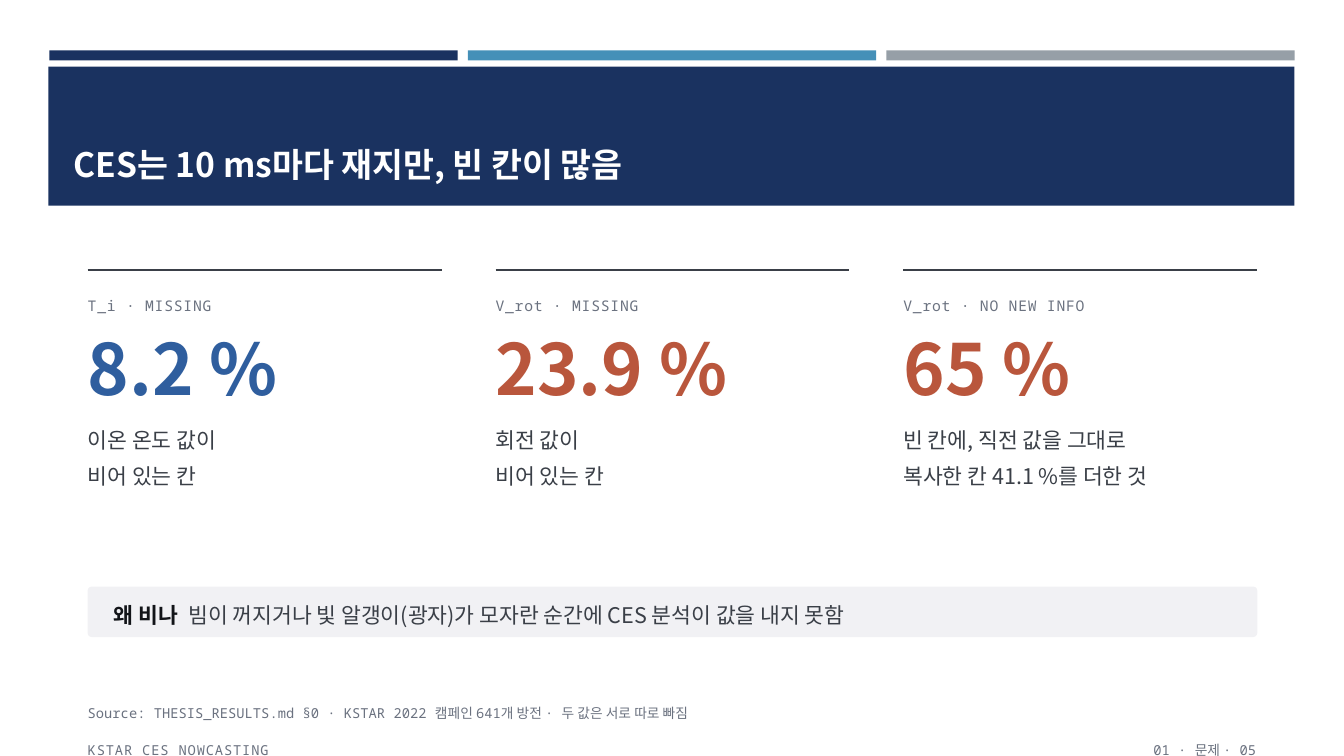
from lxml import etree
from pptx import Presentation
from pptx.dml.color import RGBColor
from pptx.enum.shapes import MSO_CONNECTOR, MSO_SHAPE
from pptx.enum.text import MSO_ANCHOR, PP_ALIGN
from pptx.oxml.ns import qn
from pptx.util import Inches, Pt

LEFT, RIGHT = PP_ALIGN.LEFT, PP_ALIGN.RIGHT
TOP, MIDDLE, BOTTOM = MSO_ANCHOR.TOP, MSO_ANCHOR.MIDDLE, MSO_ANCHOR.BOTTOM
RECTANGLE, ROUNDED = MSO_SHAPE.RECTANGLE, MSO_SHAPE.ROUNDED_RECTANGLE
STRAIGHT = MSO_CONNECTOR.STRAIGHT

NAVY = RGBColor(0x1A, 0x32, 0x60)
SKY = RGBColor(0x45, 0x90, 0xB8)
SILVER = RGBColor(0x96, 0x9F, 0xA7)
BLUE = RGBColor(0x2F, 0x5E, 0x9E)
RUST = RGBColor(0xB9, 0x56, 0x3C)
INK = RGBColor(0x12, 0x14, 0x18)
BODY = RGBColor(0x3A, 0x3F, 0x47)
MUTED = RGBColor(0x6B, 0x72, 0x80)
PANEL = RGBColor(0xF1, 0xF1, 0xF4)
WHITE = RGBColor(0xFF, 0xFF, 0xFF)

SANS, MONO = "Noto Sans CJK KR", "Noto Sans Mono"
MARGIN, CONTENT_WIDTH = 0.87, 11.6
COLUMN_WIDTH, COLUMN_STEP = 3.51, 4.045


class SlideBuilder:
    def __init__(self, presentation):
        self.slide = presentation.slides.add_slide(presentation.slide_layouts[5])

    def style(self, paragraph, size, color, font=SANS, bold=False, tracking=0):
        paragraph.font.name = font
        paragraph.font.size = Pt(size)
        paragraph.font.bold = bold
        paragraph.font.color.rgb = color
        properties = paragraph._p.pPr.find(qn("a:defRPr"))
        etree.SubElement(properties, qn("a:ea")).set("typeface", SANS)
        if tracking:
            properties.set("spc", str(int(tracking * 100)))

    def title(self, text, left, top, width, height):
        shape = self.slide.shapes.title
        shape.left, shape.top = Inches(left), Inches(top)
        shape.width, shape.height = Inches(width), Inches(height)
        shape.text_frame.text = text
        shape.text_frame.vertical_anchor = BOTTOM
        paragraph = shape.text_frame.paragraphs[0]
        paragraph.alignment = LEFT
        self.style(paragraph, 24, WHITE, bold=True)
        # Bring the title in front of its banner
        self.slide.shapes._spTree.append(shape._element)

    def block(self, left, top, width, height, color, kind=RECTANGLE):
        shape = self.slide.shapes.add_shape(
            kind, Inches(left), Inches(top), Inches(width), Inches(height))
        shape.shadow.inherit = False
        shape.fill.solid()
        shape.fill.fore_color.rgb = color
        shape.line.fill.background()
        return shape

    def rule(self, left, top, width):
        line = self.slide.shapes.add_connector(
            STRAIGHT, Inches(left), Inches(top), Inches(left + width), Inches(top))
        line.line.color.rgb = BODY
        line.line.width = Pt(1.25)
        etree.SubElement(line._element.spPr, qn("a:effectLst"))

    def frame(self, left, top, width, height, anchor=TOP):
        box = self.slide.shapes.add_textbox(
            Inches(left), Inches(top), Inches(width), Inches(height))
        frame = box.text_frame
        frame.word_wrap = True
        frame.vertical_anchor = anchor
        frame.margin_left = frame.margin_right = 0
        frame.margin_top = frame.margin_bottom = 0
        return frame

    def text(self, lines, left, top, width, height, size, color,
             spacing=1.25, alignment=LEFT, **style):
        frame = self.frame(left, top, width, height)
        frame.text = lines
        for paragraph in frame.paragraphs:
            paragraph.alignment = alignment
            paragraph.line_spacing = spacing
            self.style(paragraph, size, color, **style)

    def statistic(self, left, label, value, color, description):
        self.rule(left, 2.68, COLUMN_WIDTH)
        self.text(label, left, 2.9, COLUMN_WIDTH, 0.23, 10.5, MUTED,
                  font=MONO, tracking=0.6)
        self.text(value, left, 3.22, COLUMN_WIDTH, 0.87, 50.4, color,
                  spacing=1.0, bold=True)
        self.text(description, left, 4.13, COLUMN_WIDTH, 1.2, 15.4, BODY, spacing=1.4)

    def callout(self, label, explanation):
        panel = self.block(MARGIN, 5.82, CONTENT_WIDTH, 0.5, PANEL, ROUNDED)
        panel.adjustments[0] = 0.08
        paragraph = self.frame(1.13, 5.82, 11.07, 0.5, MIDDLE).paragraphs[0]
        paragraph.line_spacing = 1.25
        tabs = etree.SubElement(paragraph._p.pPr, qn("a:tabLst"))
        etree.SubElement(tabs, qn("a:tab"), pos=str(Inches(0.74)), algn="l")
        self.style(paragraph, 15.4, BODY)
        heading = paragraph.add_run()
        heading.text = label
        heading.font.bold = True
        heading.font.color.rgb = INK
        paragraph.add_run().text = "\t" + explanation


def main():
    presentation = Presentation()
    presentation.slide_width = Inches(13.33)
    presentation.slide_height = Inches(7.5)
    builder = SlideBuilder(presentation)

    # Header bars and title banner
    for index, color in enumerate((NAVY, SKY, SILVER)):
        builder.block(0.49 + index * 4.15, 0.5, 4.05, 0.1, color)
    builder.block(0.48, 0.66, 12.36, 1.38, NAVY)
    builder.title("CES는 10 ms마다 재지만, 빈 칸이 많음", 0.63, 0.8, 12.06, 1.08)

    # Three key figures
    statistics = (
        ("T_i · MISSING", "8.2 %", BLUE, "이온 온도 값이\n비어 있는 칸"),
        ("V_rot · MISSING", "23.9 %", RUST, "회전 값이\n비어 있는 칸"),
        ("V_rot · NO NEW INFO", "65 %", RUST,
         "빈 칸에, 직전 값을 그대로\n복사한 칸 41.1 %를 더한 것"),
    )
    for index, statistic in enumerate(statistics):
        builder.statistic(MARGIN + index * COLUMN_STEP, *statistic)

    # Explanation
    builder.callout(
        "왜 비나",
        "빔이 꺼지거나 빛 알갱이(광자)가 모자란 순간에 CES 분석이 값을 내지 못함")

    # Source and footer
    builder.text(
        "Source: THESIS_RESULTS.md §0 · KSTAR 2022 캠페인 641개 방전 · 두 값은 서로 따로 빠짐",
        MARGIN, 6.95, CONTENT_WIDTH, 0.27, 9.8, MUTED, font=MONO)
    builder.text("KSTAR CES NOWCASTING", MARGIN, 7.32, 5.33, 0.2, 9.8, MUTED,
                 font=MONO, tracking=0.6)
    builder.text("01 · 문제 · 05", 7.13, 7.32, 5.33, 0.2, 9.8, MUTED,
                 alignment=RIGHT, font=MONO)

    presentation.save("out.pptx")


if __name__ == "__main__":
    main()
